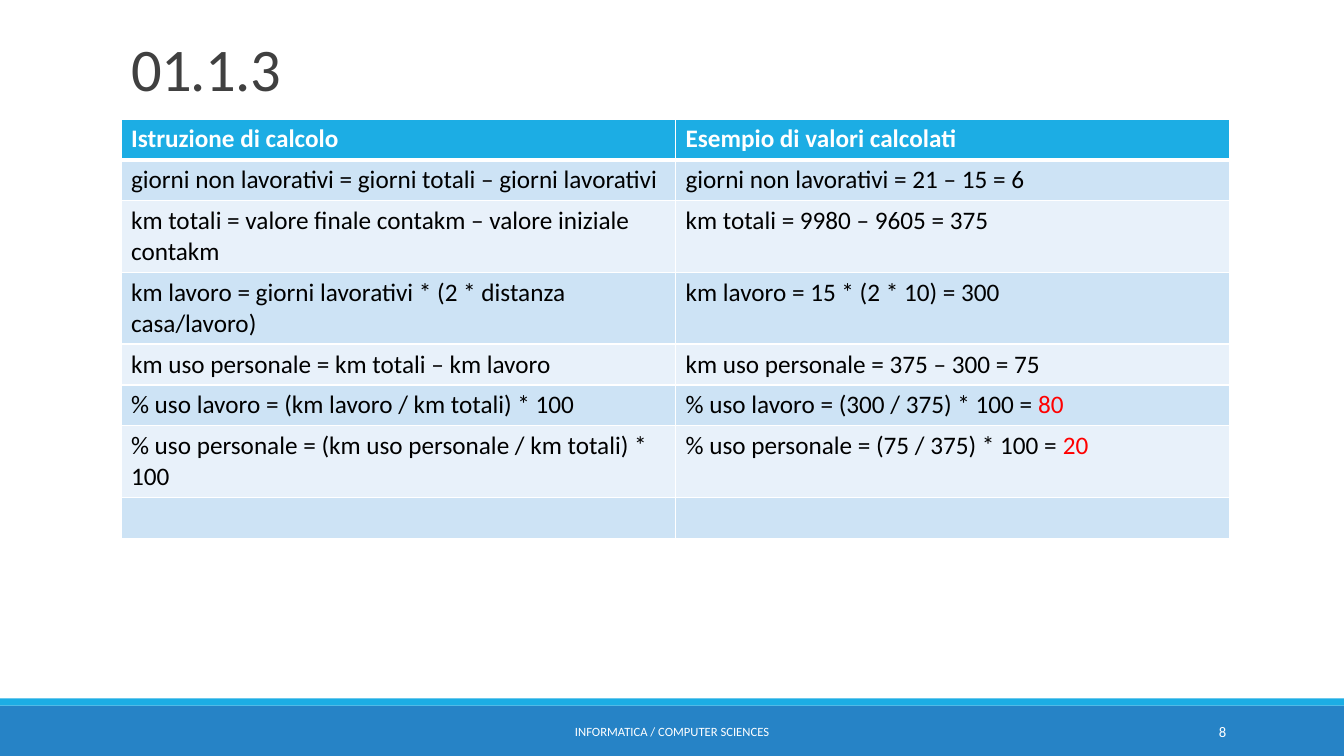
from lxml import etree
from pptx import Presentation
from pptx import util as u
from pptx.dml.color import RGBColor
from pptx.enum import shapes, text
from pptx.oxml import ns

COLORS = {
    "header": "1CADE4", "footer": "2683C6", "odd": "CDE3F5", "even": "E8F1FA",
    "title": "404040", "white": "FFFFFF", "black": "000000", "result": "FF0000",
}
HEADINGS = ["Istruzione di calcolo", "Esempio di valori calcolati"]
# Instruction, worked example, highlighted result
CALCULATIONS = [
    ("giorni non lavorativi = giorni totali – giorni lavorativi",
     "giorni non lavorativi = 21 – 15 = 6", ""),
    ("km totali = valore finale contakm – valore iniziale contakm",
     "km totali = 9980 – 9605 = 375", ""),
    ("km lavoro = giorni lavorativi * (2 * distanza casa/lavoro)",
     "km lavoro = 15 * (2 * 10) = 300", ""),
    ("km uso personale = km totali – km lavoro",
     "km uso personale = 375 – 300 = 75", ""),
    ("% uso lavoro = (km lavoro / km totali) * 100",
     "% uso lavoro = (300 / 375) * 100 = ", "80"),
    ("% uso personale = (km uso personale / km totali) * 100",
     "% uso personale = (75 / 375) * 100 = ", "20"),
    ("", "", ""),
]


class SlideBuilder:
    """Places elements on a grid of tenth-of-an-inch columns and rows."""
    font = "Calibri"
    unit = u.Inches(0.1)

    def __init__(self, presentation):
        self.slide = presentation.slides.add_slide(presentation.slide_layouts[5])

    def grid(self, *cells):
        return [round(cell * self.unit) for cell in cells]

    def color(self, name):
        return RGBColor.from_string(COLORS[name])

    def run(self, paragraph, words, size, color, bold=False):
        run = paragraph.add_run()
        run.text = words
        run.font.name = self.font
        run.font.size = u.Pt(size)
        run.font.bold = bold
        run.font.color.rgb = self.color(color)
        return run

    def band(self, top, height, color):
        shape = self.slide.shapes.add_shape(
            shapes.MSO_SHAPE.RECTANGLE, *self.grid(0, top, 133.33, height))
        shape.shadow.inherit = False
        shape.fill.solid()
        shape.fill.fore_color.rgb = self.color(color)
        shape.line.fill.background()

    def title(self, words, *place):
        shape = self.slide.shapes.title
        shape.left, shape.top, shape.width, shape.height = self.grid(*place)
        frame = shape.text_frame
        frame.auto_size = text.MSO_AUTO_SIZE.NONE
        frame.vertical_anchor = text.MSO_ANCHOR.BOTTOM
        paragraph = frame.paragraphs[0]
        paragraph.alignment = text.PP_ALIGN.LEFT
        paragraph.line_spacing = 0.85
        run = self.run(paragraph, words, 43.2, "title")
        run.font._element.set("spc", "-50")

    def label(self, words, size, alignment, *place):
        shape = self.slide.shapes.add_textbox(*self.grid(*place))
        frame = shape.text_frame
        frame.word_wrap = True
        frame.vertical_anchor = text.MSO_ANCHOR.MIDDLE
        paragraph = frame.paragraphs[0]
        paragraph.alignment = alignment
        self.run(paragraph, words, size, "white")

    def cell(self, cell, fill, runs, bold=False, top=1, bottom=1):
        properties = cell._tc.get_or_add_tcPr()
        for side, width in zip("LRTB", (1, 1, top, bottom)):
            line = etree.SubElement(properties, ns.qn(f"a:ln{side}"), w=str(u.Pt(width)))
            solid = etree.SubElement(line, ns.qn("a:solidFill"))
            etree.SubElement(solid, ns.qn("a:srgbClr"), val=COLORS["white"])
        cell.fill.solid()
        cell.fill.fore_color.rgb = self.color(fill)
        paragraph = cell.text_frame.paragraphs[0]
        paragraph.font.size = u.Pt(18)
        for words, color in runs:
            if words:
                self.run(paragraph, words, 18, color, bold)

    def table(self, headings, calculations, left, top, width, row_height):
        count = len(calculations) + 1
        table = self.slide.shapes.add_table(
            count, len(headings),
            *self.grid(left, top, width, row_height * count)).table
        for column, heading in enumerate(headings):
            self.cell(table.cell(0, column), "header", [(heading, "white")],
                      bold=True, bottom=3)
        for row, (instruction, example, result) in enumerate(calculations, 1):
            fill = "odd" if row % 2 else "even"
            top_line = 3 if row == 1 else 1
            self.cell(table.cell(row, 0), fill, [(instruction, "black")], top=top_line)
            self.cell(table.cell(row, 1), fill,
                      [(example, "black"), (result, "result")], top=top_line)


def main():
    presentation = Presentation()
    presentation.slide_width = u.Inches(13.33)
    presentation.slide_height = u.Inches(7.5)
    builder = SlideBuilder(presentation)

    # Footer bands
    builder.band(70, 5, "footer")
    builder.band(69.3, 0.7, "header")

    # Title and calculations
    builder.title("01.1.3", 12, 3.1, 110, 7.7)
    builder.table(HEADINGS, CALCULATIONS, 12, 11.8, 110, 4.06)

    # Footer text and slide number
    builder.label("INFORMATICA / COMPUTER SCIENCES", 9, text.PP_ALIGN.CENTER,
                  40.3, 70.6, 52.7, 4)
    builder.label("8", 10.5, text.PP_ALIGN.RIGHT, 108.3, 70.6, 14.3, 4)

    presentation.save("out.pptx")


if __name__ == "__main__":
    main()
